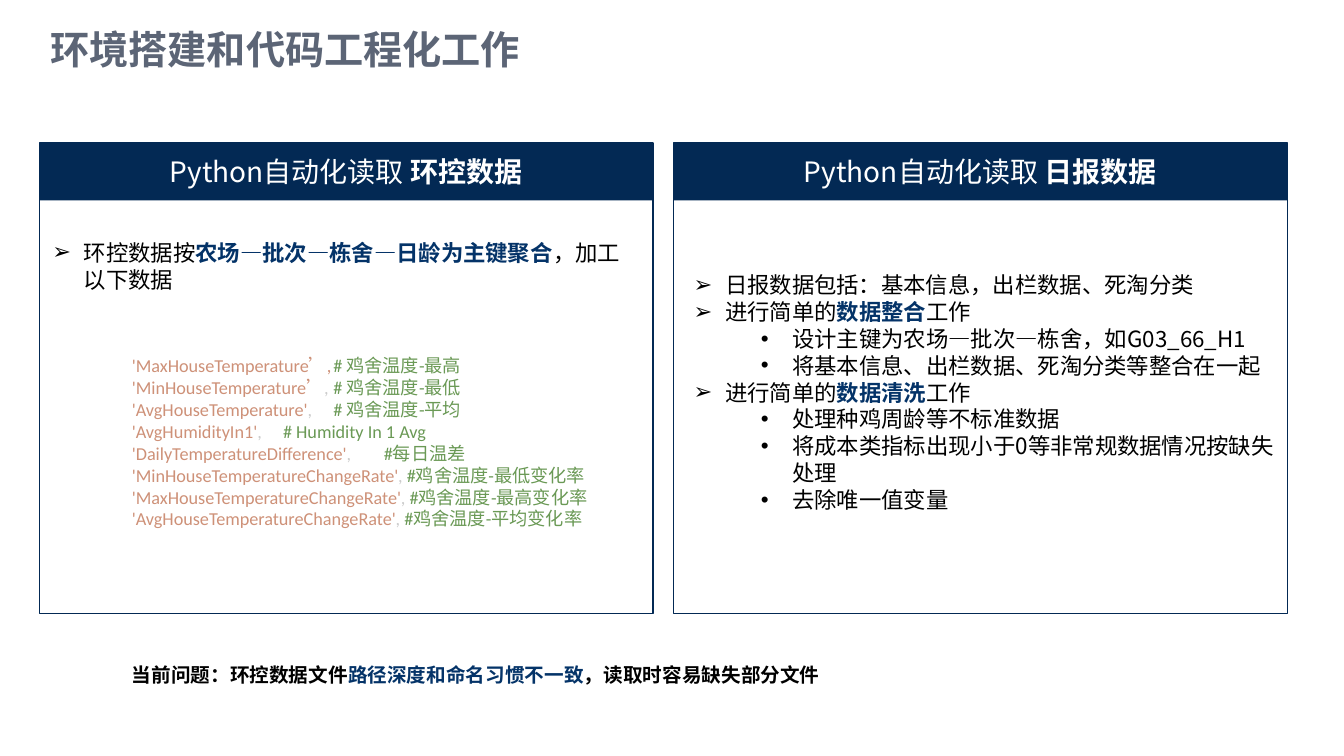
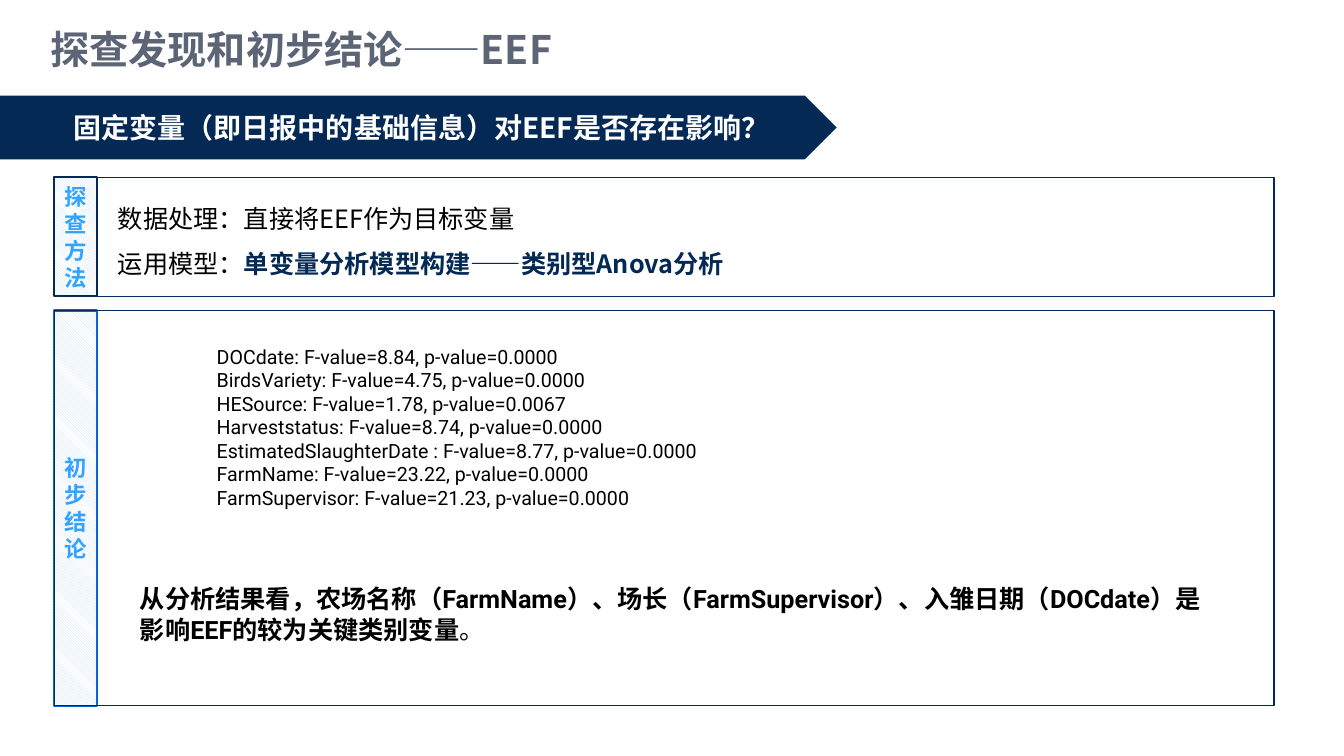
"""Build two slides on farm data engineering and first findings about EEF."""
from lxml import etree
from pptx import Presentation
from pptx.dml import color as dml
from pptx.enum import dml as patterns, shapes, text
from pptx.oxml import ns
from pptx.util import Pt

NAVY, ACCENT, GREY = "032954", "043368", "5C6576"
BLACK, WHITE = "000000", "FFFFFF"
SKY, PALE, BLUE = "33A3FF", "C6E0FD", "0766D1"
STRING, COMMA, COMMENT = "CE9178", "CCCCCC", "6A9955"
CJK = "Noto Sans CJK SC"
NARROW, WIDE = (7.2, 3.6), (9.36, 5.04)
BULLETS = {0: ("➢", 22.5), 1: ("•", 70.5)}
HANG = 22.5


def rgb(code):
    return dml.RGBColor.from_string(code)


def strong(words, color=ACCENT):
    return words, {"color": color, "bold": True}


def add_child(parent, tag, **attributes):
    return etree.SubElement(parent, ns.qn(tag), attributes)


def add_span(para, words, *, size, font=CJK, color=BLACK, bold=False):
    span = para.add_run()
    span.text = words
    span.font.size = Pt(size)
    span.font.name = font
    span.font.bold = bold
    span.font.color.rgb = rgb(color)
    add_child(span.font._element, "a:ea", typeface=CJK)


class SlideBuilder:
    def __init__(self):
        self.deck = Presentation()
        self.deck.slide_width, self.deck.slide_height = Pt(960), Pt(540)
        self.page = None

    def start(self, layout, title):
        self.page = self.deck.slides.add_slide(self.deck.slide_layouts[layout])
        box = self.place(self.page.shapes.title, 26.6, 9.4, 885, 50.4)
        self.set_text(box, [title], size=28, color=GREY, bold=True, insets=WIDE)

    def place(self, box, left, top, width, height):
        box.left, box.top, box.width, box.height = map(Pt, (left, top, width, height))
        return box

    def set_text(self, box, lines, *, anchor="MIDDLE", align="LEFT", insets=NARROW,
                 spacing=1.0, levels=None, tabs=None, **style):
        frame = box.text_frame
        frame.word_wrap = True
        frame.auto_size = text.MSO_AUTO_SIZE.NONE
        frame.vertical_anchor = text.MSO_ANCHOR[anchor]
        frame.margin_left = frame.margin_right = Pt(insets[0])
        frame.margin_top = frame.margin_bottom = Pt(insets[1])
        for index, line in enumerate(lines):
            para = frame.add_paragraph() if index else frame.paragraphs[0]
            para.alignment = text.PP_ALIGN[align]
            para.line_spacing = spacing
            para.space_before = para.space_after = Pt(0)
            self.indent(para, levels[index] if levels else None)
            if tabs and tabs[index]:
                stops = add_child(para._p.get_or_add_pPr(), "a:tabLst")
                add_child(stops, "a:tab", pos=str(Pt(tabs[index])), algn="l")
            for part in [line] if isinstance(line, str) else line:
                words, change = (part, {}) if isinstance(part, str) else part
                add_span(para, words, **{**style, **change})

    def indent(self, para, level):
        properties = para._p.get_or_add_pPr()
        if level is None:
            properties.set("marL", "0")
            properties.set("indent", "0")
            add_child(properties, "a:buNone")
            return
        para.level = level
        mark, margin = BULLETS[level]
        properties.set("marL", str(Pt(margin)))
        properties.set("indent", str(-Pt(HANG)))
        add_child(properties, "a:buFont", typeface="Arial")
        add_child(properties, "a:buChar", char=mark)

    def body(self, index, place, lines, **style):
        box = self.place(self.page.placeholders[index], *place)
        self.set_text(box, lines, **style)

    def label(self, place, lines, **style):
        box = self.page.shapes.add_textbox(*map(Pt, place))
        self.set_text(box, lines, **style)

    def shape(self, place, *, kind="RECTANGLE", fill=None, line=None, weight=1):
        box = self.page.shapes.add_shape(shapes.MSO_SHAPE[kind], *map(Pt, place))
        box.shadow.inherit = False
        if fill:
            box.fill.solid()
            box.fill.fore_color.rgb = rgb(fill)
        else:
            box.fill.background()
        if line:
            box.line.color.rgb = rgb(line)
            box.line.width = Pt(weight)
        else:
            box.line.fill.background()
        return box

    def panel(self, left, subject):
        self.shape((left, 102.2, 438.5, 336.2), line=NAVY)
        header = self.shape((left, 102.2, 438.5, 41), fill=NAVY)
        self.set_text(header, [["Python自动化读取 ", strong(subject, WHITE)]],
                      size=20, color=WHITE, align="CENTER")

    def section(self, top, height, name, edge):
        tab = self.shape((38.9, top, 30.2, height), line=edge, weight=1.5)
        tab.fill.patterned()
        tab.fill.pattern = patterns.MSO_PATTERN.LIGHT_DOWNWARD_DIAGONAL
        tab.fill.fore_color.rgb, tab.fill.back_color.rgb = rgb(PALE), rgb(WHITE)
        self.set_text(tab, [name], size=16, color=SKY, bold=True,
                      align="CENTER", insets=(5.76, 3.6))
        self.shape((38.9, top, 871.2, height), line=NAVY)


def build_engineering(builder):
    builder.start(3, "环境搭建和代码工程化工作")
    for column, subject in enumerate(("环控数据", "日报数据")):
        builder.panel(28 + 453 * column, subject)
    builder.body(1, (30.2, 165, 432.7, 49.7), [
        ["环控数据按", strong("农场—批次—栋舍—日龄为主键聚合"), "，加工以下数据"],
    ], size=16, levels=[0])
    builder.body(2, (488.2, 186.5, 438.5, 187.2), [
        "日报数据包括：基本信息，出栏数据、死淘分类",
        ["进行简单的", strong("数据整合"), "工作"],
        "设计主键为农场—批次—栋舍，如G03_66_H1",
        "将基本信息、出栏数据、死淘分类等整合在一起",
        ["进行简单的", strong("数据清洗"), "工作"],
        "处理种鸡周龄等不标准数据",
        "将成本类指标出现小于0等非常规数据情况按缺失处理",
        "去除唯一值变量",
    ], size=16, levels=[0, 0, 1, 1, 0, 1, 1, 1])
    fields = [
        ("'MaxHouseTemperature’", STRING, "# 鸡舍温度-最高", 181),
        ("'MinHouseTemperature’", COMMA, "# 鸡舍温度-最低", 179),
        ("'AvgHouseTemperature'", COMMA, "# 鸡舍温度-平均", 161),
        ("'AvgHumidityIn1'", COMMA, "# Humidity In 1 Avg", 140),
        ("'DailyTemperatureDifference'", COMMA, "#每日温差", 168.5),
        ("'MinHouseTemperatureChangeRate'", COMMA, "#鸡舍温度-最低变化率", None),
        ("'MaxHouseTemperatureChangeRate'", COMMA, "#鸡舍温度-最高变化率", None),
        ("'AvgHouseTemperatureChangeRate'", COMMA, "#鸡舍温度-平均变化率", None),
    ]
    builder.label((87.1, 249.8, 352.8, 133.2), [
        [name, ("," + ("\t" if stop else " "), {"color": comma}),
         (remark, {"color": COMMENT})]
        for name, comma, remark, stop in fields
    ], size=13, font="Calibri", color=STRING, anchor="TOP",
        tabs=[field[-1] for field in fields])
    builder.label((87.1, 452.2, 726.5, 59.8), [
        ["当前问题：环控数据文件", strong("路径深度和命名习惯不一致"),
         "，读取时容易缺失部分文件"],
    ], size=14, bold=True)


def build_findings(builder):
    builder.start(1, "探查发现和初步结论——EEF")
    builder.shape((0, 68.4, 597.6, 45.4), kind="PENTAGON", fill=NAVY)
    builder.label((43.2, 65.5, 514, 50.4),
                  ["固定变量（即日报中的基础信息）对EEF是否存在影响？"],
                  size=20, color=WHITE, bold=True, insets=WIDE)
    builder.section(126.7, 85, "探查方法", NAVY)
    builder.section(221.8, 282.2, "初步结论", BLUE)
    builder.label((74.9, 134.6, 885, 64.1), [
        "数据处理：直接将EEF作为目标变量",
        ["运用模型：", strong("单变量分析模型构建——类别型Anova分析", NAVY)],
    ], size=18, spacing=1.5, insets=WIDE)
    results = [
        ("DOCdate", "8.84", "0.0000"),
        ("BirdsVariety", "4.75", "0.0000"),
        ("HESource", "1.78", "0.0067"),
        ("Harveststatus", "8.74", "0.0000"),
        ("EstimatedSlaughterDate ", "8.77", "0.0000"),
        ("FarmName", "23.22", "0.0000"),
        ("FarmSupervisor", "21.23", "0.0000"),
    ]
    builder.body(1, (147.6, 242.6, 480.2, 126), [
        f"{name}: F-value={score}, p-value={chance}" for name, score, chance in results
    ], size=14, font="Roboto", anchor="TOP")
    builder.label((92.9, 413.3, 774.7, 51.1), [
        ["从分析结果看，农场名称（FarmName）、场长（FarmSupervisor）、"
         "入雏日期（DOCdate）是影响EEF的较为关键类别变量", ("。", {"bold": False})],
    ], size=18, font="Roboto", bold=True, anchor="TOP")


def main():
    builder = SlideBuilder()
    build_engineering(builder)
    build_findings(builder)
    builder.deck.save("out.pptx")


if __name__ == "__main__":
    main()
